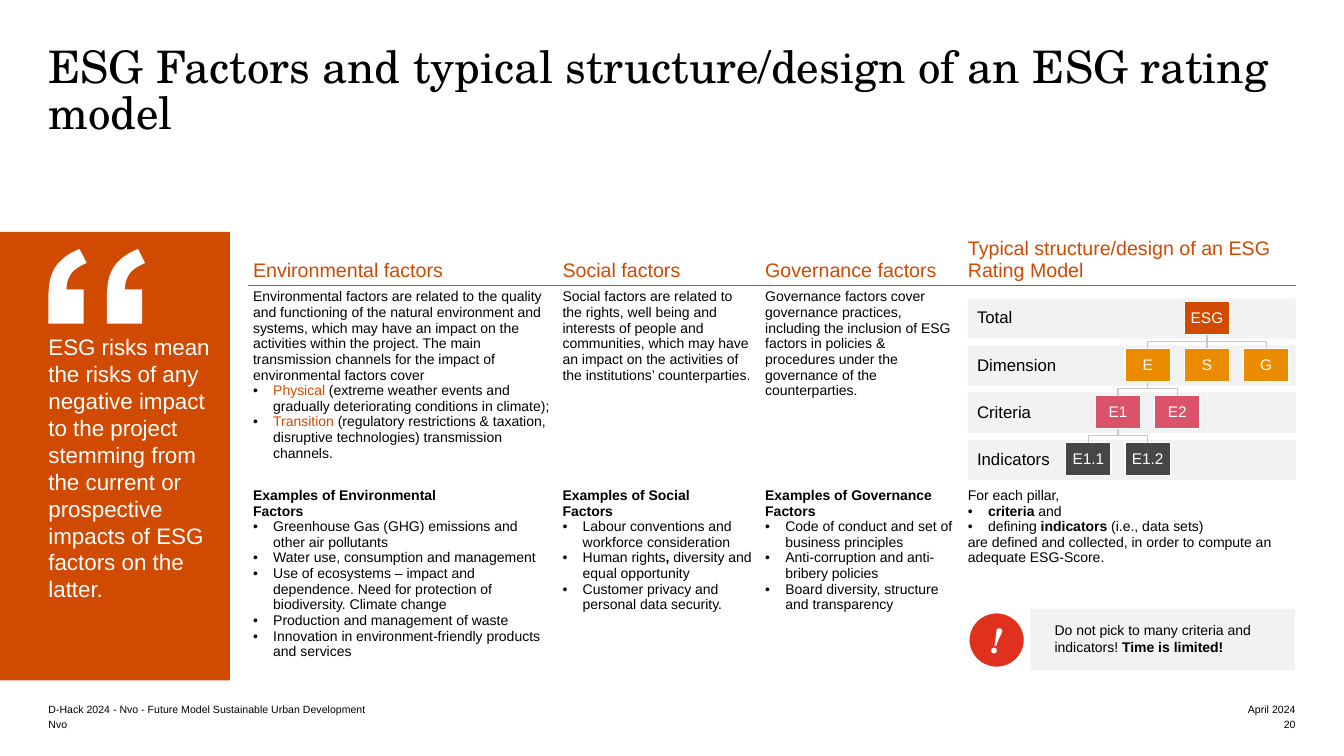
"""Build the slide on ESG factors and the structure of a rating model."""
from lxml.etree import SubElement
from pptx import Presentation
from pptx.dml.color import RGBColor
from pptx.enum.shapes import MSO_CONNECTOR, MSO_SHAPE as Kind
from pptx.enum.text import MSO_ANCHOR as Anchor, PP_ALIGN as Align
from pptx.oxml.ns import qn
from pptx.util import Inches, Pt

HUE = {
    "orange": "D04A02", "total": "D04A00", "amber": "EB8C00", "rose": "DB536A",
    "dark": "464646", "pale": "F2F2F2", "link": "C7C7C7", "red": "E0301E",
    "white": "FFFFFF", "black": "000000",
}
SANS, SERIF = "Arial", "TeX Gyre Schola"

TITLE = "ESG Factors and typical structure/design of an ESG rating model"
QUOTE = ("ESG risks mean the risks of any negative impact to the project stemming from "
         "the current or prospective impacts of ESG factors on the latter.")
HEADS = ["Environmental factors", "Social factors", "Governance factors",
         "Typical structure/design of an ESG Rating Model"]
FACTS = [
    ["Environmental factors are related to the quality and functioning of the natural "
     "environment and systems, which may have an impact on the activities within the "
     "project. The main transmission channels for the impact of environmental factors cover",
     "•*Physical* (extreme weather events and gradually deteriorating conditions in climate);",
     "•*Transition *(regulatory restrictions & taxation, disruptive technologies) "
     "transmission channels."],
    ["Social factors are related to the rights, well being and interests of people and "
     "communities, which may have an impact on the activities of the institutions’ "
     "counterparties."],
    ["Governance factors cover governance practices, including the inclusion of ESG factors "
     "in policies & procedures under the governance of the counterparties."],
    [],
]
CASES = [
    ["*Examples of Environmental\nFactors*",
     "•Greenhouse Gas (GHG) emissions and other air pollutants",
     "•Water use, consumption and management",
     "•Use of ecosystems – impact and dependence. Need for protection of biodiversity. "
     "Climate change",
     "•Production and management of waste",
     "•Innovation in environment-friendly products and services"],
    ["*Examples of Social\nFactors*",
     "•Labour conventions and workforce consideration",
     "•Human rights*, *diversity and equal opportunity",
     "•Customer privacy and personal data security."],
    ["*Examples of Governance Factors*",
     "•Code of conduct and set of business principles",
     "•Anti-corruption and anti-bribery policies",
     "•Board diversity, structure and transparency"],
    ["For each pillar,", "•*criteria* and", "•defining *indicators* (i.e., data sets)",
     "are defined and collected, in order to compute an adequate ESG-Score."],
]
COLS, ROWS = [3.07, 2.01, 2.01, 3.29], [0.53, 1.97, 1.93]
LEVELS = [
    ("Total", "total", {"ESG": 4}),
    ("Dimension", "amber", {"E": 2, "S": 4, "G": 6}),
    ("Criteria", "rose", {"E1": 1, "E2": 3}),
    ("Indicators", "dark", {"E1.1": 0, "E1.2": 2}),
]
LINKS = [("ESG", "E"), ("ESG", "S"), ("ESG", "G"), ("E", "E1"), ("E", "E2"),
         ("E1", "E1.1"), ("E1", "E1.2")]
ALERT = "Do not pick to many criteria and indicators! *Time is limited!*"
FOOT = [
    (0.48, 6.95, 5.99, "D-Hack 2024 - Nvo - Future Model Sustainable Urban Development", Align.LEFT),
    (0.48, 7.1, 5.99, "Nvo", Align.LEFT),
    (10.92, 6.95, 1.93, "April 2024", Align.RIGHT),
    (10.92, 7.1, 1.93, "20", Align.RIGHT),
]
MARK = [
    [(0.35, 0.74)], [(0, 0.74)], [(0, 0.5)],
    [(0, 0.4), (0.01, 0.32), (0.03, 0.26)],
    [(0.05, 0.21), (0.08, 0.15), (0.13, 0.11)],
    [(0.18, 0.06), (0.24, 0.03), (0.31, 0)],
    [(0.38, 0.14)],
    [(0.31, 0.17), (0.26, 0.2), (0.23, 0.24)],
    [(0.2, 0.28), (0.18, 0.33), (0.18, 0.4)],
    [(0.35, 0.4)],
]


def tint(name):
    return RGBColor.from_string(HUE[name])


def bullet(para):
    props = para._p.get_or_add_pPr()
    props.set("marL", str(Inches(0.2)))
    props.set("indent", str(-Inches(0.2)))
    SubElement(SubElement(props, qn("a:buClr")), qn("a:srgbClr"), val=HUE["black"])
    SubElement(props, qn("a:buFont"), typeface=SANS)
    SubElement(props, qn("a:buChar"), char="•")


def write(frame, lines, size, color="black", face=SANS, align=Align.LEFT, gap=None, mark=None):
    frame.word_wrap = True
    for i, line in enumerate(lines):
        para = frame.add_paragraph() if i else frame.paragraphs[0]
        para.alignment = align
        if gap:
            para.line_spacing = gap
        if line.startswith("•"):
            bullet(para)
        for j, part in enumerate(line.removeprefix("•").split("*")):
            for k, text in enumerate(part.split("\n") if part else []):
                if k:
                    para.add_line_break()
                run = para.add_run()
                run.text = text
                run.font.size, run.font.name = Pt(size), face
                run.font.bold = bool(j % 2) and not mark
                run.font.color.rgb = tint(mark if mark and j % 2 else color)
        for stop in para._p.findall(qn("a:br")):
            SubElement(stop, qn("a:rPr"), sz=str(size * 100))


def inset(obj, left, top, right, low):
    obj.margin_left, obj.margin_top = Inches(left), Inches(top)
    obj.margin_right, obj.margin_bottom = Inches(right), Inches(low)


def paint(shape, fill, line=None, width=1):
    shape.shadow.inherit = False
    if fill:
        shape.fill.solid()
        shape.fill.fore_color.rgb = tint(fill)
    else:
        shape.fill.background()
    if line:
        shape.line.color.rgb, shape.line.width = tint(line), Pt(width)
    else:
        shape.line.fill.background()


def block(slide, box, fill, line=None, width=1, kind=Kind.RECTANGLE):
    shape = slide.shapes.add_shape(kind, *map(Inches, box))
    paint(shape, fill, line, width)
    shape.text_frame.vertical_anchor = Anchor.MIDDLE
    return shape


def label(slide, box, text, size, color="black", align=Align.LEFT, anchor=Anchor.TOP):
    frame = slide.shapes.add_textbox(*map(Inches, box)).text_frame
    inset(frame, 0, 0, 0, 0)
    frame.vertical_anchor = anchor
    write(frame, [text], size, color, align=align)


def rule(cell, side):
    line = cell._tc.get_or_add_tcPr().makeelement(qn(side), {"w": str(Pt(1))})
    SubElement(SubElement(line, qn("a:solidFill")), qn("a:srgbClr"), val=HUE["orange"])
    cell._tc.get_or_add_tcPr().insert(0, line)


def grid(slide):
    box = map(Inches, (2.47, 2.3, sum(COLS), sum(ROWS)))
    table = slide.shapes.add_table(len(ROWS), len(COLS), *box).table
    table.first_row = table.horz_banding = False
    for r, high in enumerate(ROWS):
        table.rows[r].height = Inches(high)
    for c, wide in enumerate(COLS):
        table.columns[c].width = Inches(wide)
        for r, lines in enumerate(([HEADS[c]], FACTS[c], CASES[c])):
            cell = table.cell(r, c)
            cell.fill.background()
            inset(cell, 0.04, 0.04, 0.08 if r and c < 3 else 0.04, 0.04)
            cell.vertical_anchor = Anchor.TOP if r else Anchor.BOTTOM
            write(cell.text_frame, lines, 10 if r else 14, "black" if r else "orange",
                  mark="orange" if r == 1 else None)
        rule(table.cell(0, c), "a:lnB")
        rule(table.cell(1, c), "a:lnT")


def curve(start, ends):
    pts = [start, *ends]
    for step in range(1, 11):
        t = step / 10
        part = ((1 - t) ** 3, 3 * t * (1 - t) ** 2, 3 * t * t * (1 - t), t ** 3)
        yield tuple(sum(f * p[axis] for f, p in zip(part, pts)) for axis in (0, 1))


def quote(slide):
    pts = []
    for move in MARK:
        pts += curve(pts[-1], move) if len(move) == 3 else move
    left, right = ([(Inches(0.48 + dx + x), Inches(2.47 + y)) for x, y in pts] for dx in (0, 0.58))
    form = slide.shapes.build_freeform(*left[0])
    form.add_line_segments(left[1:])
    form.move_to(*right[0])
    form.add_line_segments(right[1:])
    paint(form.convert_to_shape(), "white")


def link(slide, top, end):
    x, y = top.left + top.width // 2, top.top + top.height
    to = end.left + end.width // 2
    if x == to:
        line = slide.shapes.add_connector(MSO_CONNECTOR.STRAIGHT, x, y, to, end.top)
        line.begin_connect(top, 2)
        line.end_connect(end, 0)
        line.line.color.rgb, line.line.width = tint("link"), Pt(1)
        SubElement(line._element.spPr, qn("a:effectLst"))
    else:
        mid = (y + end.top) // 2
        form = slide.shapes.build_freeform(x, y)
        form.add_line_segments([(x, mid), (to, mid), (to, end.top)], close=False)
        paint(form.convert_to_shape(), None, "link")


def tree(slide):
    nodes = {}
    for i, (name, fill, items) in enumerate(LEVELS):
        y = 2.96 + i * 0.467
        band = block(slide, (9.6, y, 3.25, 0.4), "pale").text_frame
        inset(band, 0.09, 0.09, 2.2, 0.09)
        write(band, [name], 12, gap=0.9)
        for text, slot in items.items():
            node = block(slide, (10.57 + slot * 0.294, y + 0.03, 0.45, 0.33), fill, "white")
            inset(node.text_frame, 0.05, 0.05, 0.05, 0.05)
            write(node.text_frame, [text], 11, "white", align=Align.CENTER, gap=0.9)
            nodes[text] = node
    for top, end in LINKS:
        link(slide, nodes[top], nodes[end])


def main():
    deck = Presentation()
    deck.slide_width, deck.slide_height = Inches(13.33), Inches(7.5)
    slide = deck.slides.add_slide(deck.slide_layouts[5])
    title = slide.shapes.title
    title.left, title.top, title.width, title.height = map(Inches, (0.48, 0.47, 12.36, 1.52))
    inset(title.text_frame, 0, 0, 0, 0)
    title.text_frame.vertical_anchor = Anchor.TOP
    write(title.text_frame, [TITLE], 32, face=SERIF, gap=0.85)
    grid(slide)
    block(slide, (0, 2.3, 2.28, 4.45), "orange")
    quote(slide)
    label(slide, (0.48, 3.31, 1.68, 3.03), QUOTE, 16, "white")
    tree(slide)
    badge = block(slide, (9.6, 6.07, 0.57, 0.56), "red", "white", 2.25, Kind.OVAL).text_frame
    inset(badge, 0.08, 0.08, 0.08, 0.08)
    write(badge, ["*!*"], 24, "white", SERIF, Align.CENTER)
    badge.paragraphs[0].runs[0].font.italic = True
    block(slide, (10.22, 6.04, 2.62, 0.61), "pale")
    label(slide, (10.46, 6.17, 2.11, 0.3), ALERT, 10)
    for x, y, wide, text, align in FOOT:
        label(slide, (x, y, wide, 0.15), text, 7.5, align=align, anchor=Anchor.BOTTOM)
    deck.save("out.pptx")


if __name__ == "__main__":
    main()
